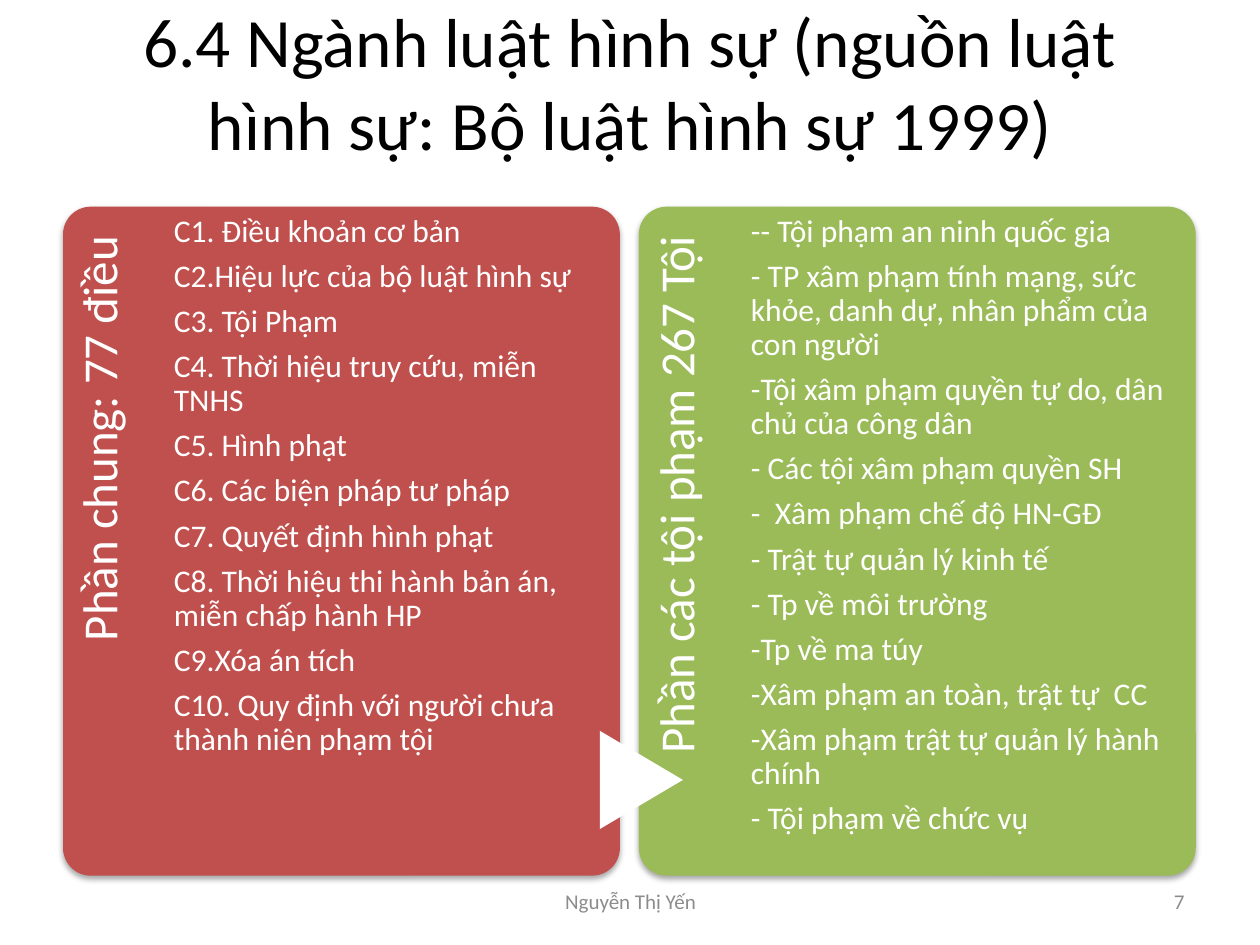
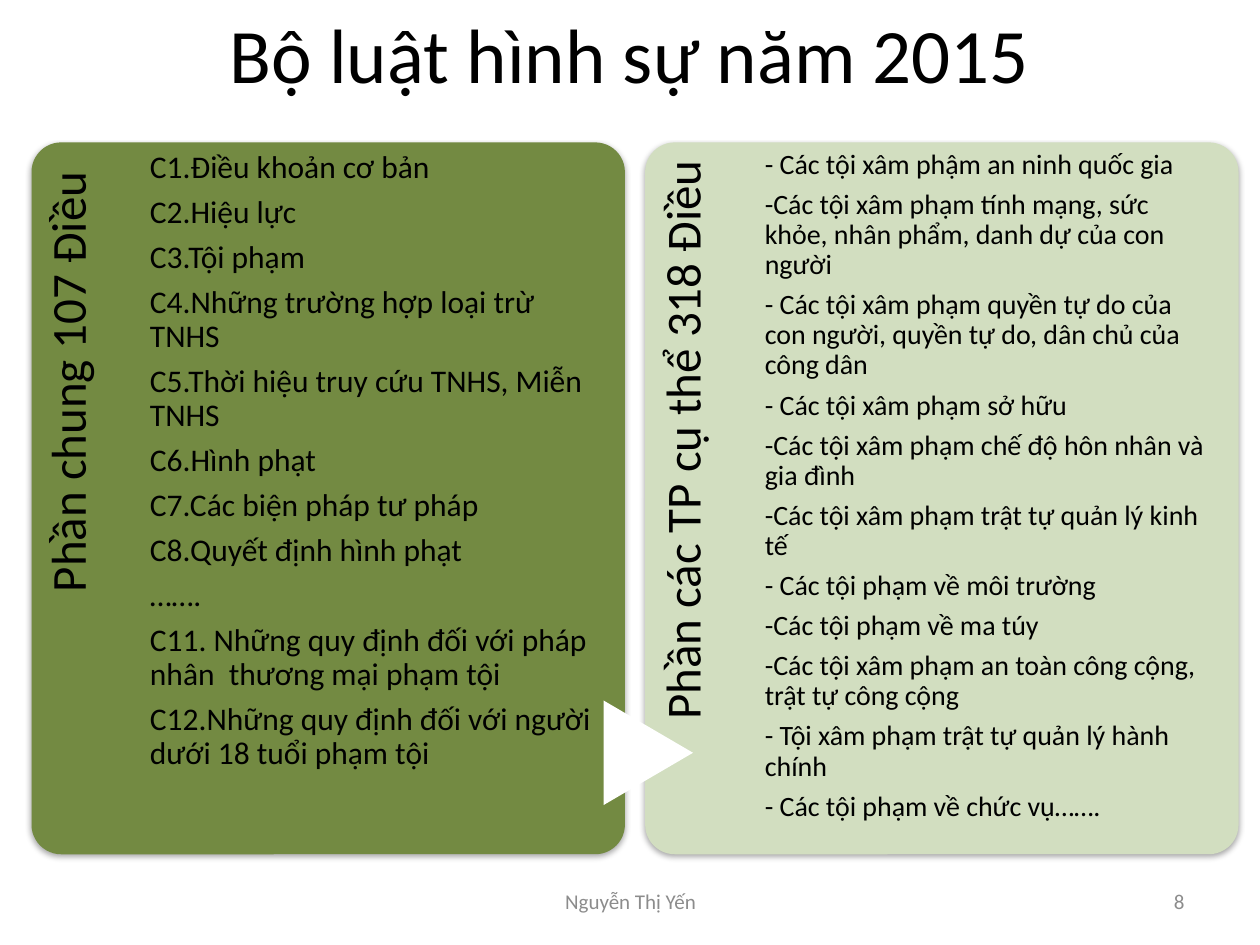
from lxml import etree
from pptx import Presentation
from pptx.dml.color import RGBColor
from pptx.enum.shapes import MSO_SHAPE
from pptx.enum.text import MSO_ANCHOR, PP_ALIGN
from pptx.oxml.ns import qn
from pptx.util import Emu, Pt

PX = 9144
FONT = "Calibri"
ROUND, TRIANGLE = MSO_SHAPE.ROUNDED_RECTANGLE, MSO_SHAPE.FLOWCHART_EXTRACT
TOP, MIDDLE = MSO_ANCHOR.TOP, MSO_ANCHOR.MIDDLE
LEFT, CENTER, RIGHT = PP_ALIGN.LEFT, PP_ALIGN.CENTER, PP_ALIGN.RIGHT

BLACK = RGBColor(0x00, 0x00, 0x00)
WHITE = RGBColor(0xFF, 0xFF, 0xFF)
GREY = RGBColor(0x8C, 0x8C, 0x8C)
RED = RGBColor(0xC0, 0x50, 0x4D)
GREEN = RGBColor(0x9B, 0xBB, 0x59)
DARK_GREEN = RGBColor(0x73, 0x8A, 0x42)
PALE_GREEN = RGBColor(0xD2, 0xDE, 0xC0)

FOOTER = "Nguyễn Thị Yến"
BOX_INSETS = (10, 5, 10, 5)

GENERAL_1999 = [
    "C1. Điều khoản cơ bản",
    "C2.Hiệu lực của bộ luật hình sự",
    "C3. Tội Phạm",
    "C4. Thời hiệu truy cứu, miễn TNHS",
    "C5. Hình phạt",
    "C6. Các biện pháp tư pháp",
    "C7. Quyết định hình phạt",
    "C8. Thời hiệu thi hành bản án, miễn chấp hành HP",
    "C9.Xóa án tích",
    "C10. Quy định với người chưa thành niên phạm tội",
]
CRIMES_1999 = [
    "-- Tội phạm an ninh quốc gia",
    "- TP xâm phạm tính mạng, sức khỏe, danh dự, nhân phẩm của con người",
    "-Tội xâm phạm quyền tự do, dân chủ của công dân",
    "- Các tội xâm phạm quyền SH",
    "-  Xâm phạm chế độ HN-GĐ",
    "- Trật tự quản lý kinh tế",
    "- Tp về môi trường",
    "-Tp về ma túy",
    "-Xâm phạm an toàn, trật tự  CC",
    "-Xâm phạm trật tự quản lý hành chính",
    "- Tội phạm về chức vụ",
]
GENERAL_2015 = [
    "C1.Điều khoản cơ bản",
    "C2.Hiệu lực",
    "C3.Tội phạm",
    "C4.Những trường hợp loại trừ TNHS",
    "C5.Thời hiệu truy cứu TNHS, Miễn TNHS",
    "C6.Hình phạt",
    "C7.Các biện pháp tư pháp",
    "C8.Quyết định hình phạt",
    "…….",
    "C11. Những quy định đối với pháp nhân  thương mại phạm tội",
    "C12.Những quy định đối với người dưới 18 tuổi phạm tội",
]
CRIMES_2015 = [
    "- Các tội xâm phậm an ninh quốc gia",
    "-Các tội xâm phạm tính mạng, sức khỏe, nhân phẩm, danh dự của con người",
    "- Các tội xâm phạm quyền tự do của con người, quyền tự do, dân chủ của công dân",
    "- Các tội xâm phạm sở hữu",
    "-Các tội xâm phạm chế độ hôn nhân và gia đình",
    "-Các tội xâm phạm trật tự quản lý kinh tế",
    "- Các tội phạm về môi trường",
    "-Các tội phạm về ma túy",
    "-Các tội xâm phạm an toàn công cộng, trật tự công cộng",
    "- Tội xâm phạm trật tự quản lý hành chính",
    "- Các tội phạm về chức vụ…….",
]


def px(n):
    return Emu(round(n) * PX)


class Deck:
    def __init__(self):
        self.prs = Presentation()
        self.prs.slide_width, self.prs.slide_height = px(1000), px(750)
        self.s = None

    def slide(self, title, title_size, title_top, title_height, number):
        self.s = self.prs.slides.add_slide(self.prs.slide_layouts[6])
        self.text(50, title_top, 900, title_height, [title], title_size, BLACK,
                  CENTER, MIDDLE)
        self.text(342, 695, 317, 40, [FOOTER], 12, GREY, CENTER, MIDDLE)
        self.text(717, 695, 233, 40, [str(number)], 12, GREY, RIGHT, MIDDLE)

    def text(self, x, y, w, h, lines, size, color, align=LEFT, anchor=TOP,
             insets=BOX_INSETS, tight=False):
        sp = self.s.shapes.add_textbox(px(x), px(y), px(w), px(h))
        tf = sp.text_frame
        tf.word_wrap = True
        tf.vertical_anchor = anchor
        tf.margin_left, tf.margin_top, tf.margin_right, tf.margin_bottom = map(px, insets)
        for i, line in enumerate(lines):
            p = tf.add_paragraph() if i else tf.paragraphs[0]
            p.alignment = align
            if tight:
                p.line_spacing = 0.9
                p.space_after = Pt(size * 0.35)
            r = p.add_run()
            r.text = line
            r.font.name, r.font.size = FONT, Pt(size)
            r.font.color.rgb = color
        return sp

    def shape(self, kind, x, y, w, h, fill):
        sp = self.s.shapes.add_shape(kind, px(x), px(y), px(w), px(h))
        sp.shadow.inherit = False
        sp.fill.solid()
        sp.fill.fore_color.rgb = fill
        sp.line.fill.background()
        return sp

    def card(self, x, y, w, h, fill):
        sp = self.shape(ROUND, x, y, w, h, fill)
        sp.adjustments[0] = 0.05
        effects = sp.element.spPr.find(qn("a:effectLst"))
        shadow = etree.SubElement(effects, qn("a:outerShdw"), blurRad="40000",
                                  dist="23000", dir="5400000", rotWithShape="0")
        clr = etree.SubElement(shadow, qn("a:srgbClr"), val="000000")
        etree.SubElement(clr, qn("a:alpha"), val="35000")

    def label(self, x, y, w, h, words, color):
        length, depth = 0.82 * h, 0.2 * w
        sp = self.text(x + (depth - length) / 2, y + (length - depth) / 2, length,
                       depth, [words], 28, color, RIGHT, insets=(0, 10, 14, 0),
                       tight=True)
        sp.rotation = 270

    def arrow(self, x, y, w, h):
        base, depth = 0.147 * h, 0.15 * w
        sp = self.shape(TRIANGLE, x + 2 - base / 2, y + 0.857 * h - depth / 2,
                        base, depth, WHITE)
        sp.rotation = 90

    def panels(self, x, y, w, h, color, panels):
        for i, (fill, heading, lines, size) in enumerate(panels):
            left = x + i * 1.035 * w
            self.card(left, y, w, h, fill)
            self.label(left, y, w, h, heading, color)
            if i:
                self.arrow(left, y, w, h)
            self.text(left + 0.2 * w, y, 0.745 * w, h, lines, size, color,
                      insets=(0, 0.4 * size, 0, 0), tight=True)


def main():
    d = Deck()
    d.slide("6.4 Ngành luật hình sự (nguồn luật hình sự: Bộ luật hình sự 1999)",
            39.6, 17, 95, 7)
    d.panels(50, 164, 442, 531, WHITE, [
        (RED, "Phần chung: 77 điều ", GENERAL_1999, 18),
        (GREEN, "Phần các tội phạm 267 Tội ", CRIMES_1999, 18),
    ])
    d.slide("Bộ luật hình sự năm 2015", 44, 0, 83, 8)
    d.panels(25, 113, 471, 565, BLACK, [
        (DARK_GREEN, "Phần chung 107 Điều ", GENERAL_2015, 18),
        (PALE_GREEN, "Phần các TP cụ thể 318 Điều ", CRIMES_2015, 16),
    ])
    d.prs.save("out.pptx")


if __name__ == "__main__":
    main()
